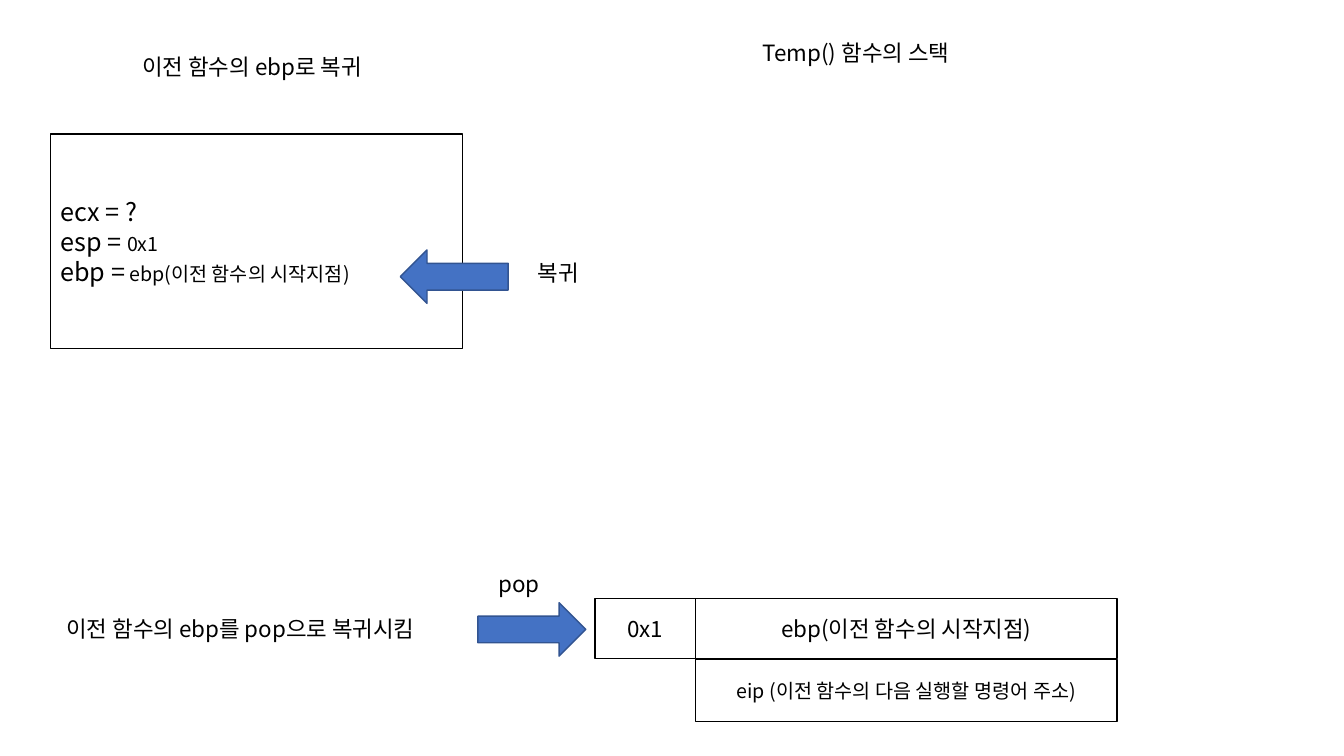
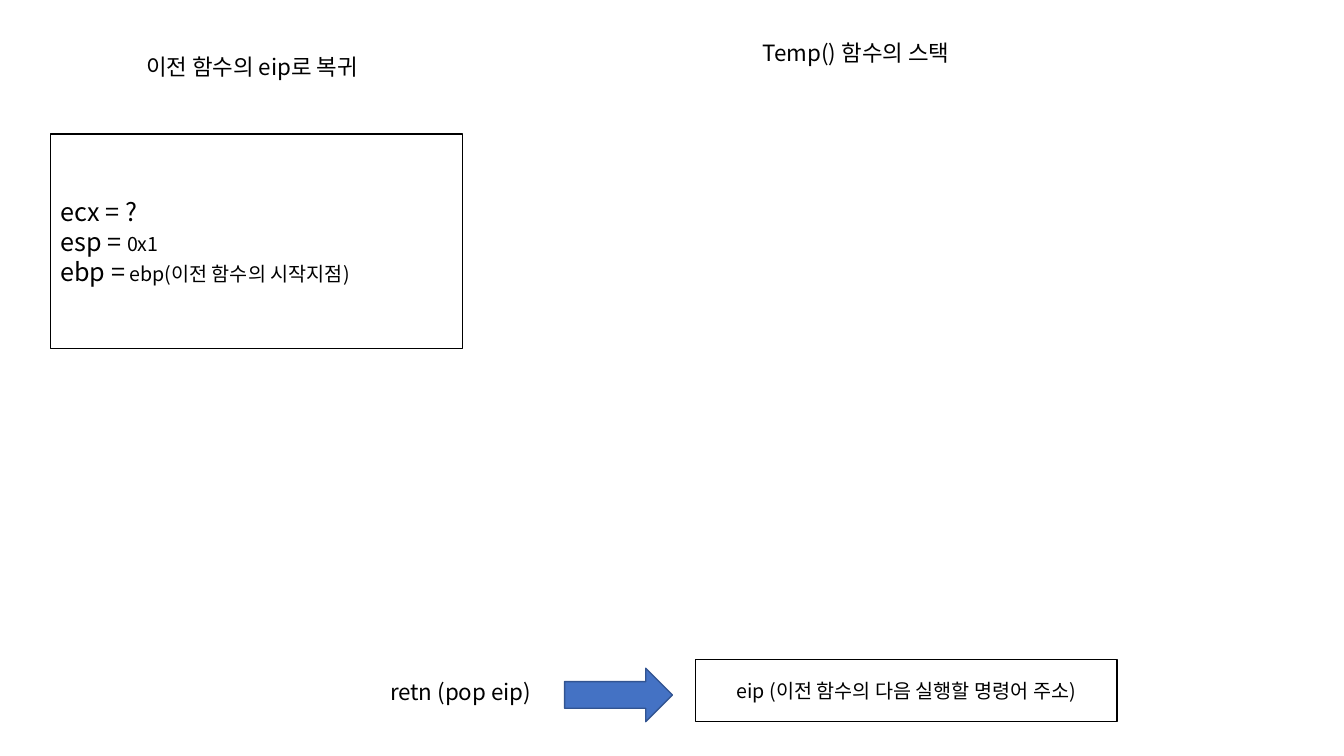
from pptx import Presentation
from pptx.dml.color import RGBColor
from pptx.enum.shapes import MSO_SHAPE
from pptx.enum.text import MSO_ANCHOR, PP_ALIGN
from pptx.oxml.ns import qn
from pptx.util import Inches, Pt
from lxml.etree import SubElement

COLORS = {"text": "000000", "border": "000000", "arrow": "4472C4", "arrow_edge": "325491"}
FONT = "Noto Sans CJK KR"
STACK_LEFT, STACK_WIDTH = 6.9, 4.18
ARROW_WIDTH, ARROW_HEIGHT = 1.07, 0.53
LABEL_HEIGHT = 0.37
FRAME_START = "ebp(이전 함수의 시작지점)"
REGISTERS = [
    [("ecx = ?", 18)],
    [("esp = ", 18), ("0x1", 14)],
    [("ebp =", 18), (" " + FRAME_START, 14)],
]
EIP_CELL = (STACK_LEFT, 6.54, STACK_WIDTH, 0.62, "eip (이전 함수의 다음 실행할 명령어 주소)", 14)

SLIDES = [
    {
        "title": "이전 함수의 ebp로 복귀",
        "cells": [
            (STACK_LEFT, 5.94, STACK_WIDTH, 0.59, FRAME_START, 16),
            (STACK_LEFT - 1, 5.94, 1, 0.59, "0x1", 16),
            EIP_CELL,
        ],
        "arrows": [(4.74, 5.98, 0), (3.97, 2.48, 180)],
        "labels": [
            (0.18, 6.05, 4.41, "이전 함수의 ebp를 pop으로 복귀시킴"),
            (4.65, 5.61, 1, "pop"),
            (5.04, 2.52, 1, "복귀"),
        ],
    },
    {
        "title": "이전 함수의 eip로 복귀",
        "cells": [EIP_CELL],
        "arrows": [(5.6, 6.63, 0)],
        "labels": [(3.64, 6.68, 1.86, "retn (pop eip)")],
    },
]


def add_box(slide, kind, position, fill, line):
    shape = slide.shapes.add_shape(kind, *map(Inches, position))
    shape.shadow.inherit = False
    if fill:
        shape.fill.solid()
        shape.fill.fore_color.rgb = RGBColor.from_string(COLORS[fill])
    else:
        shape.fill.background()
    shape.line.color.rgb = RGBColor.from_string(COLORS[line])
    shape.line.width = Pt(1)
    return shape


def write_text(shape, lines, alignment, anchor):
    frame = shape.text_frame
    for name, value in {"word_wrap": True, "vertical_anchor": anchor}.items():
        setattr(frame, name, value)
    for index, line in enumerate(lines):
        paragraph = frame.add_paragraph() if index else frame.paragraphs[0]
        paragraph.alignment = alignment
        for text, size in line:
            run = paragraph.add_run()
            run.text = text
            for name, value in {"name": FONT, "size": Pt(size)}.items():
                setattr(run.font, name, value)
            run.font.color.rgb = RGBColor.from_string(COLORS["text"])
            SubElement(run.font._element, qn("a:ea"), typeface=FONT)


presentation = Presentation()
presentation.slide_width = Inches(13.33)
presentation.slide_height = Inches(7.5)

for content in SLIDES:
    slide = presentation.slides.add_slide(presentation.slide_layouts[6])

    registers = add_box(slide, MSO_SHAPE.RECTANGLE, (0.5, 1.33, 4.09, 2.13), None, "border")
    write_text(registers, REGISTERS, PP_ALIGN.LEFT, MSO_ANCHOR.MIDDLE)

    for left, top, width, height, text, size in content["cells"]:
        cell = add_box(slide, MSO_SHAPE.RECTANGLE, (left, top, width, height), None, "border")
        write_text(cell, [[(text, size)]], PP_ALIGN.CENTER, MSO_ANCHOR.MIDDLE)

    for left, top, rotation in content["arrows"]:
        position = (left, top, ARROW_WIDTH, ARROW_HEIGHT)
        arrow = add_box(slide, MSO_SHAPE.RIGHT_ARROW, position, "arrow", "arrow_edge")
        arrow.rotation = rotation

    headings = [(0.5, 0.48, 4, content["title"]), (6.49, 0.34, 4, "Temp() 함수의 스택")]
    for left, top, width, text in headings + content["labels"]:
        label = slide.shapes.add_textbox(*map(Inches, (left, top, width, LABEL_HEIGHT)))
        write_text(label, [[(text, 16)]], PP_ALIGN.CENTER, MSO_ANCHOR.TOP)

presentation.save("out.pptx")
